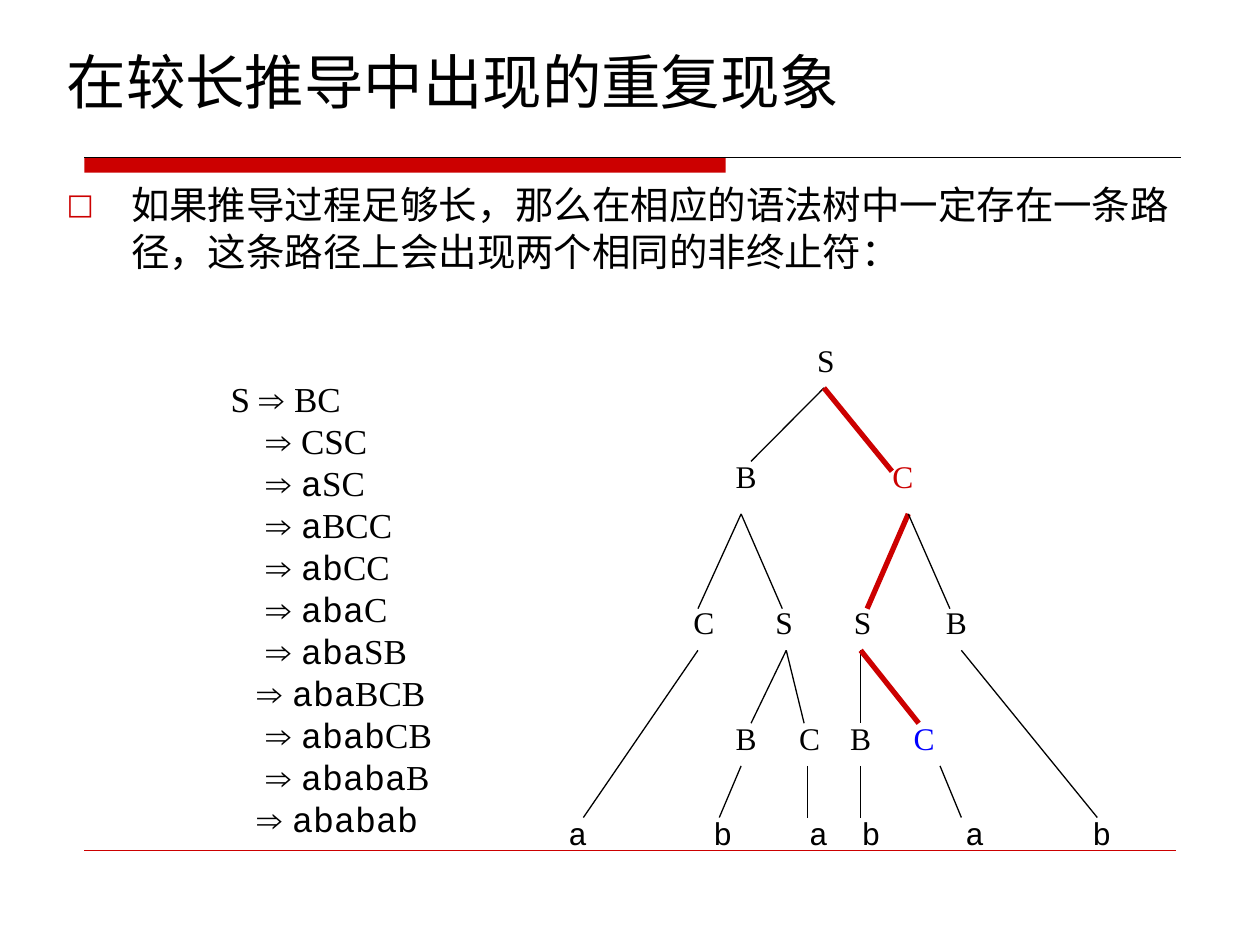
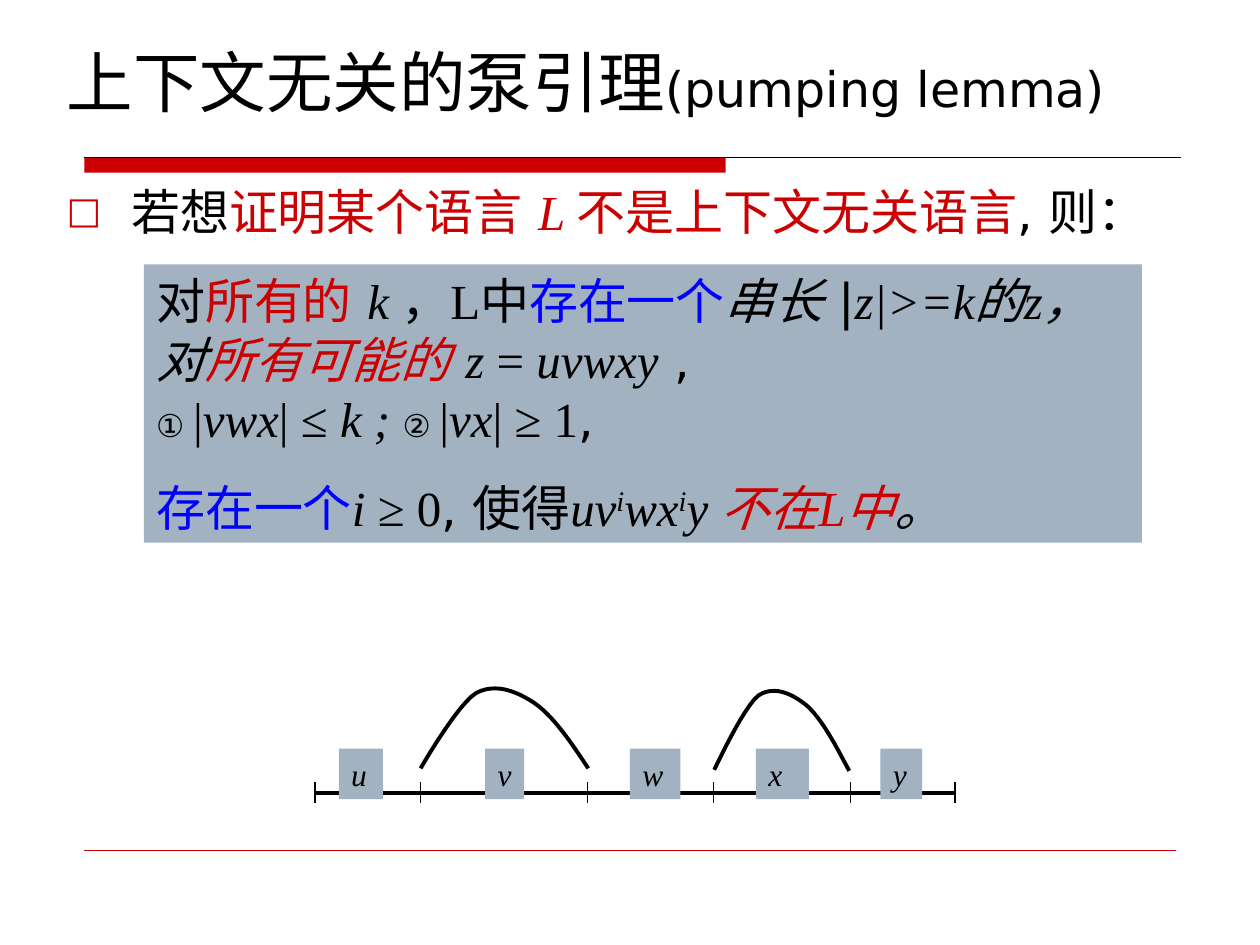
from lxml import etree
from pptx import Presentation
from pptx.dml.color import RGBColor
from pptx.enum.shapes import MSO_CONNECTOR, MSO_SHAPE
from pptx.enum.text import MSO_ANCHOR, MSO_AUTO_SIZE, PP_ALIGN
from pptx.oxml.ns import qn
from pptx.util import Cm, Pt

STRAIGHT = MSO_CONNECTOR.STRAIGHT
RECTANGLE = MSO_SHAPE.RECTANGLE
TOP, MIDDLE = MSO_ANCHOR.TOP, MSO_ANCHOR.MIDDLE
LEFT, CENTER = PP_ALIGN.LEFT, PP_ALIGN.CENTER
NO_FIT = MSO_AUTO_SIZE.NONE

BLACK = RGBColor(0x00, 0x00, 0x00)
RED = RGBColor(0xCC, 0x00, 0x00)
BLUE = RGBColor(0x00, 0x00, 0xFF)
GREY_BLUE = RGBColor(0xA3, 0xB2, 0xC1)
SANS, SERIF, MONO, SYMBOL = "DejaVu Sans", "Times New Roman", "Courier New", "Arial"


def add_run(paragraph, text, color=BLACK, baseline=None, **formats):
    run = paragraph.add_run()
    run.text = text
    for attribute, value in formats.items():
        setattr(run.font, attribute, value)
    run.font.color.rgb = color
    properties = run._r.get_or_add_rPr()
    etree.SubElement(properties, qn("a:ea"), typeface=SANS)
    if baseline:
        properties.set("baseline", baseline)


def add_line(slide, start, end, color=BLACK, width=0.75):
    points = [Cm(value) for value in (*start, *end)]
    line = slide.shapes.add_connector(STRAIGHT, *points)
    line.line.color.rgb = color
    line.line.width = Pt(width)
    etree.SubElement(line._element.spPr, qn("a:effectLst"))


presentation = Presentation()
presentation.slide_width = Cm(25.4)
presentation.slide_height = Cm(19.05)

# Titles, lists, red band and bottom rule of both slides
contents = [
    {
        "title": [("在较长推导中出现的重复现象", {"size": Pt(34)})],
        "list": [("如果推导过程足够长，那么在相应的语法树中一定存在一条路径，"
                  "这条路径上会出现两个相同的非终止符：", {"size": Pt(22)})],
        "list_height": 2.82,
    },
    {
        "title": [("上下文无关的泵引理", {"size": Pt(38)}),
                  ("(pumping lemma)", {"size": Pt(28)})],
        "list": [("若想", {}),
                 ("证明某个语言 ", {"color": RED}),
                 ("L ", {"color": RED, "name": SERIF, "italic": True}),
                 ("不是上下文无关语言", {"color": RED}),
                 (", 则：", {})],
        "list_height": 1.55,
    },
]
slides = []
for content in contents:
    slide = presentation.slides.add_slide(presentation.slide_layouts[1])
    slides.append(slide)
    band = slide.shapes.add_shape(RECTANGLE, Cm(1.7), Cm(3.18), Cm(12.93), Cm(0.3))
    band.shadow.inherit = False
    band.fill.solid()
    band.fill.fore_color.rgb = RED
    band.line.fill.background()
    add_line(slide, (1.7, 3.18), (23.8, 3.18))
    add_line(slide, (1.7, 17.15), (23.7, 17.15), RED, 0.25)

    title, body = slide.placeholders
    for shape, top, height, anchor, runs in (
        (title, 0.71, 1.83, MIDDLE, content["title"]),
        (body, 3.53, content["list_height"], TOP, content["list"]),
    ):
        shape.left, shape.top = Cm(1.09), Cm(top)
        shape.width, shape.height = Cm(23.22), Cm(height)
        frame = shape.text_frame
        frame.auto_size = NO_FIT
        frame.vertical_anchor = anchor
        paragraph = frame.paragraphs[0]
        paragraph.alignment = LEFT
        paragraph.space_before = Pt(0)
        for text, formats in runs:
            add_run(paragraph, text, **{"name": SANS, "size": Pt(28), **formats})

    # Hollow red square as the list bullet
    properties = body.text_frame.paragraphs[0]._p.get_or_add_pPr()
    properties.set("marL", str(Cm(1.3)))
    properties.set("indent", str(-Cm(1.3)))
    bullet_color = etree.SubElement(properties, qn("a:buClr"))
    etree.SubElement(bullet_color, qn("a:srgbClr"), val=str(RED))
    etree.SubElement(properties, qn("a:buSzPct"), val="75000")
    etree.SubElement(properties, qn("a:buFont"), typeface=SANS)
    etree.SubElement(properties, qn("a:buChar"), char="□")

tree_slide, lemma_slide = slides

# Derivation steps: indent, start symbol, terminals, nonterminals
steps = [
    (0.59, "S ", "", "BC"), (1.3, "", "", "CSC"), (1.3, "", "a", "SC"),
    (1.3, "", "a", "BCC"), (1.3, "", "ab", "CC"), (1.3, "", "aba", "C"),
    (1.3, "", "aba", "SB"), (1.12, "", "aba", "BCB"), (1.3, "", "abab", "CB"),
    (1.3, "", "ababa", "B"), (1.12, "", "ababab", ""),
]
derivation = tree_slide.shapes.add_textbox(Cm(3.81), Cm(7.49), Cm(6.55), Cm(9.58))
frame = derivation.text_frame
frame.word_wrap = True
for index, (indent, start, terminals, nonterminals) in enumerate(steps):
    paragraph = frame.add_paragraph() if index else frame.paragraphs[0]
    paragraph._p.get_or_add_pPr().set("marL", str(Cm(indent)))
    for text, font_name in ((start, SERIF), ("⇒ ", SYMBOL),
                            (terminals, MONO), (nonterminals, SERIF)):
        if text:
            add_run(paragraph, text, name=font_name, size=Pt(20))

# Syntax tree branches: parent point, then child points with their colours
branches = [
    ((16.61, 7.82), [(15.14, 9.3, BLACK), (17.98, 9.5, RED)]),
    ((14.94, 10.36), [(14.07, 12.27, BLACK), (15.77, 12.27, BLACK)]),
    ((18.31, 10.36), [(17.48, 12.27, RED), (19.15, 12.27, BLACK)]),
    ((15.85, 13.11), [(15.14, 14.58, BLACK), (16.21, 14.58, BLACK)]),
    ((17.35, 13.11), [(17.35, 14.58, BLACK), (18.52, 14.58, RED)]),
    ((14.07, 13.11), [(11.76, 16.48, BLACK)]),
    ((14.94, 15.44), [(14.5, 16.48, BLACK)]),
    ((16.28, 15.44), [(16.28, 16.48, BLACK)]),
    ((17.35, 15.44), [(17.35, 16.48, BLACK)]),
    ((18.95, 15.44), [(19.38, 16.48, BLACK)]),
    ((19.38, 13.11), [(22.12, 16.48, BLACK)]),
]
for parent, children in branches:
    for x, y, color in children:
        add_line(tree_slide, parent, (x, y), color, 3 if color == RED else 0.75)

# Syntax tree labels by level: top, then centre and symbol of each node
levels = [
    (6.76, [(16.65, "S")]),
    (9.09, [(15.04, "B"), (18.2, "C")]),
    (12.04, [(14.19, "C"), (15.81, "S"), (17.39, "S"), (19.28, "B")]),
    (14.38, [(15.04, "B"), (16.32, "C"), (17.35, "B"), (18.63, "C")]),
    (16.29, [(11.65, "a"), (14.57, "b"), (16.5, "a"),
             (17.56, "b"), (19.65, "a"), (22.21, "b")]),
]
repeated_colors = {(18.2, "C"): RED, (18.63, "C"): BLUE}
for top, nodes in levels:
    for center, symbol in nodes:
        label = tree_slide.shapes.add_textbox(Cm(center - 0.45), Cm(top), Cm(0.9), Cm(1.02))
        frame = label.text_frame
        frame.margin_left = frame.margin_right = 0
        frame.word_wrap = False
        paragraph = frame.paragraphs[0]
        paragraph.alignment = CENTER
        add_run(paragraph, symbol, repeated_colors.get((center, symbol), BLACK),
                name=SERIF if symbol.isupper() else MONO, size=Pt(18))

# Divided string: axis below the boxes
add_line(lemma_slide, (6.35, 15.98), (19.25, 15.98), width=2.25)

# Lemma statement and string part labels
plain = {"name": SERIF, "size": Pt(28)}
italic = {**plain, "italic": True}
sans = {**plain, "name": SANS}
number = {"name": SYMBOL, "size": Pt(18)}
raised = {**italic, "baseline": "30000"}
statement = [
    (0, [("对", sans), ("所有的 ", {**sans, "color": RED}), ("k ", italic),
         ("，L中", plain), ("存在一个", {**plain, "color": BLUE}),
         ("串长 ", italic), ("|", sans), ("z|>=k的z， 对", italic),
         ("所有可能的 ", {**italic, "color": RED}), ("z", italic),
         (" = ", plain), ("uvwxy", italic), (" ,", sans)]),
    (0, [("① ", number), ("|", plain), ("vwx", italic), ("| ≤ ", plain),
         ("k ; ", italic), ("② ", number), ("|", plain), ("vx", italic),
         ("| ≥ 1", plain), (",", sans)]),
    (17.5, [("存在一个", {**sans, "color": BLUE}), ("i ", italic), ("≥ 0", plain),
            (", 使得", sans), ("uv", italic), ("i", raised), ("wx", italic),
            ("i", raised), ("y ", italic), ("不在L中", {**italic, "color": RED}),
            ("。", italic)]),
]
boxes = [(2.9, 5.33, 20.12, 5.61, statement)]
for left, width, part in ((6.83, 0.89, "u"), (9.78, 0.79, "v"), (12.7, 1.02, "w"),
                          (15.24, 1.07, "x"), (17.75, 0.84, "y")):
    boxes.append((left, 15.09, width, 1.02, [(0, [(part, {**italic, "size": Pt(18)})])]))
for left, top, width, height, paragraphs in boxes:
    box = lemma_slide.shapes.add_shape(RECTANGLE, Cm(left), Cm(top), Cm(width), Cm(height))
    box.shadow.inherit = False
    box.fill.solid()
    box.fill.fore_color.rgb = GREY_BLUE
    box.line.fill.background()
    frame = box.text_frame
    frame.word_wrap = True
    frame.vertical_anchor = TOP
    for index, (space, runs) in enumerate(paragraphs):
        paragraph = frame.add_paragraph() if index else frame.paragraphs[0]
        paragraph.alignment = LEFT
        paragraph.space_before = Pt(space)
        for text, formats in runs:
            add_run(paragraph, text, **formats)

# Tick marks between the parts
for x in (6.35, 8.47, 11.85, 14.39, 17.15, 19.25):
    add_line(lemma_slide, (x, 15.77), (x, 16.18))

# Arcs over v and x, as chains of cubic curves
arcs = [
    [(11.86, 15.49), (11.51, 14.96), (11.15, 14.43), (10.77, 14.17), (10.39, 13.92),
     (9.98, 13.77), (9.6, 13.97), (9.22, 14.2), (8.48, 15.49), (8.48, 15.49)],
    [(17.12, 15.54), (16.84, 15.01), (16.56, 14.48), (16.26, 14.22), (15.95, 13.97),
     (15.6, 13.82), (15.29, 14.02), (14.99, 14.25), (14.4, 15.52), (14.4, 15.52)],
]
STEPS = 12
for controls in arcs:
    points = []
    for first in range(0, len(controls) - 1, 3):
        for step in range(1, STEPS + 1):
            t = step / STEPS
            weights = ((1 - t) ** 3, 3 * t * (1 - t) ** 2, 3 * t ** 2 * (1 - t), t ** 3)
            curve = list(zip(weights, controls[first:first + 4]))
            points.append((Cm(sum(weight * x for weight, (x, y) in curve)),
                           Cm(sum(weight * y for weight, (x, y) in curve))))
    start_x, start_y = controls[0]
    builder = lemma_slide.shapes.build_freeform(Cm(start_x), Cm(start_y))
    builder.add_line_segments(points, close=False)
    arc = builder.convert_to_shape()
    arc.shadow.inherit = False
    arc.fill.background()
    arc.line.color.rgb = BLACK
    arc.line.width = Pt(2.25)

presentation.save("out.pptx")
